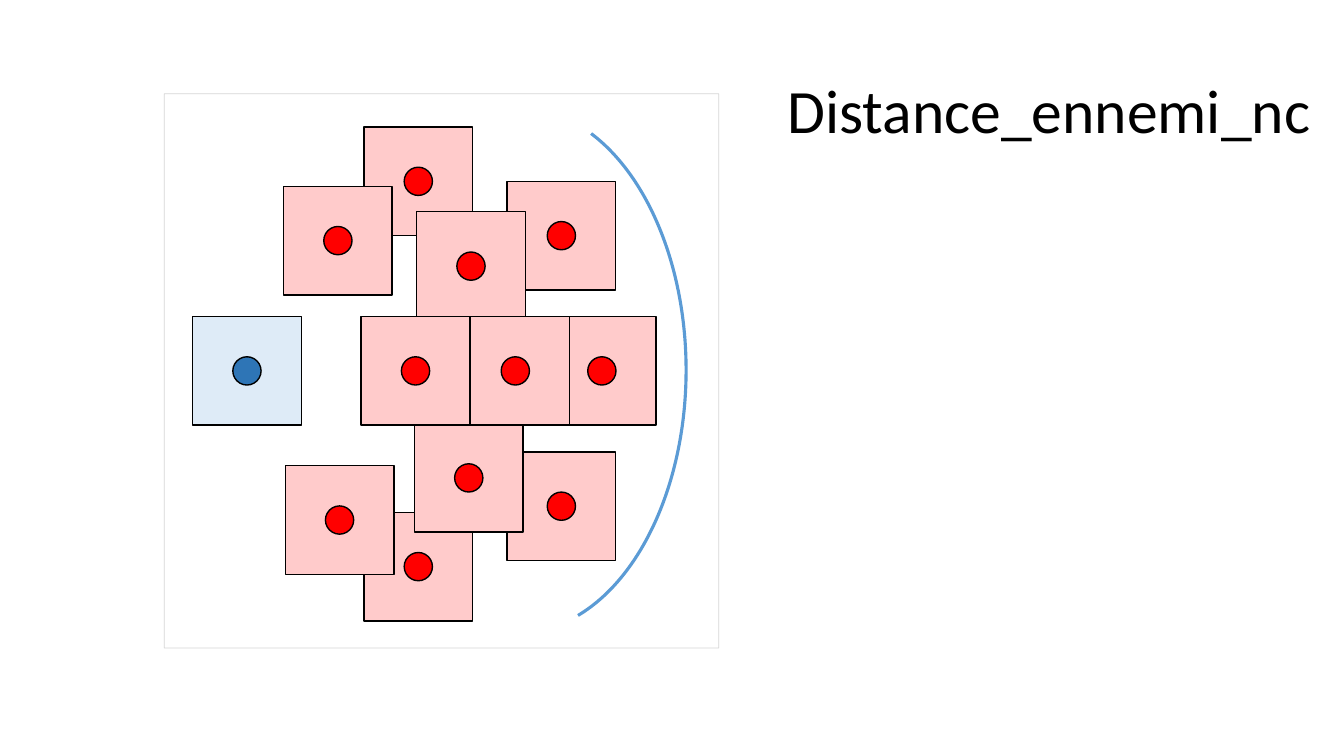
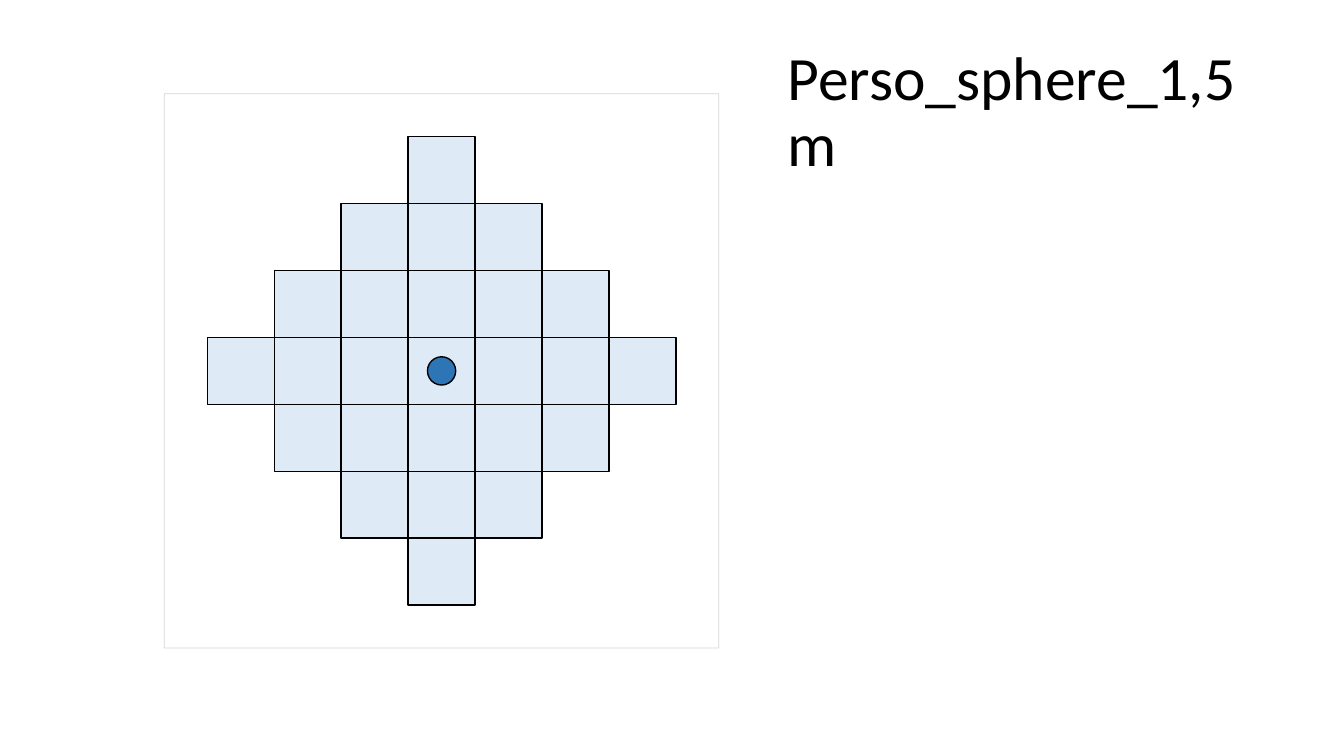
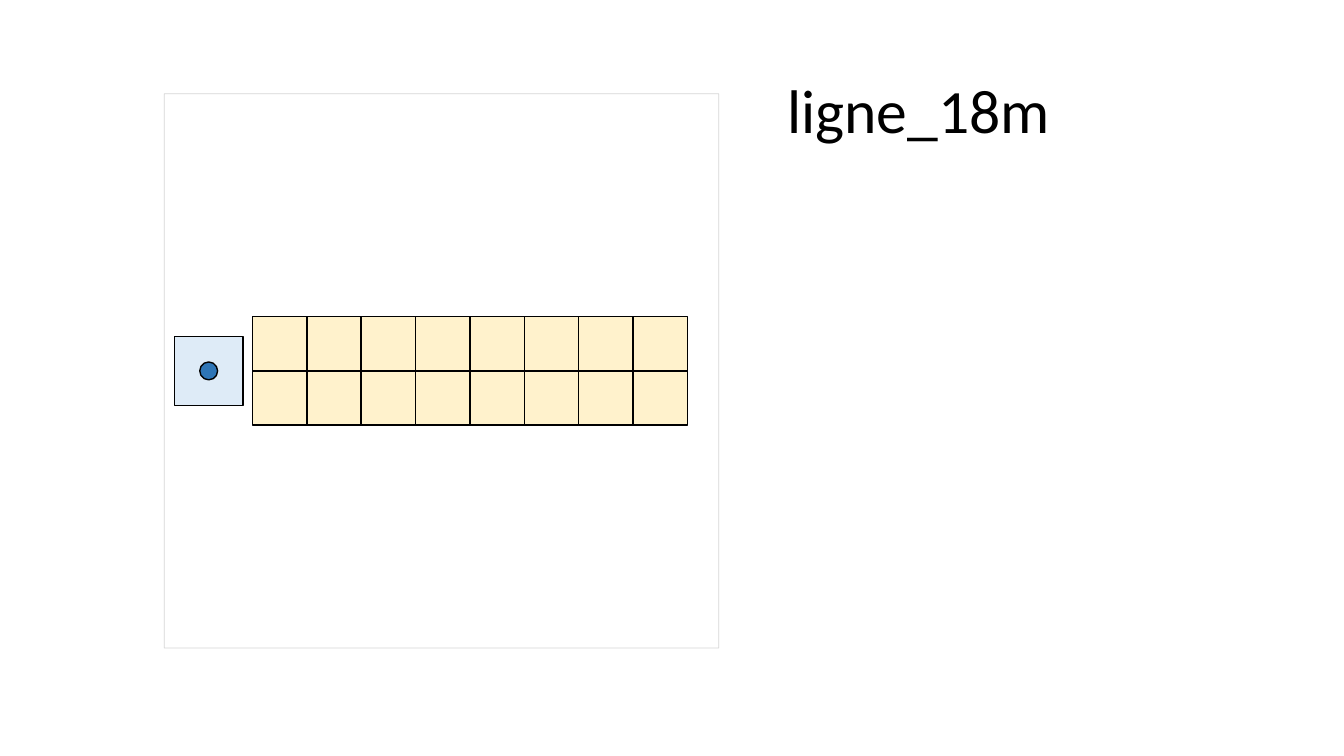
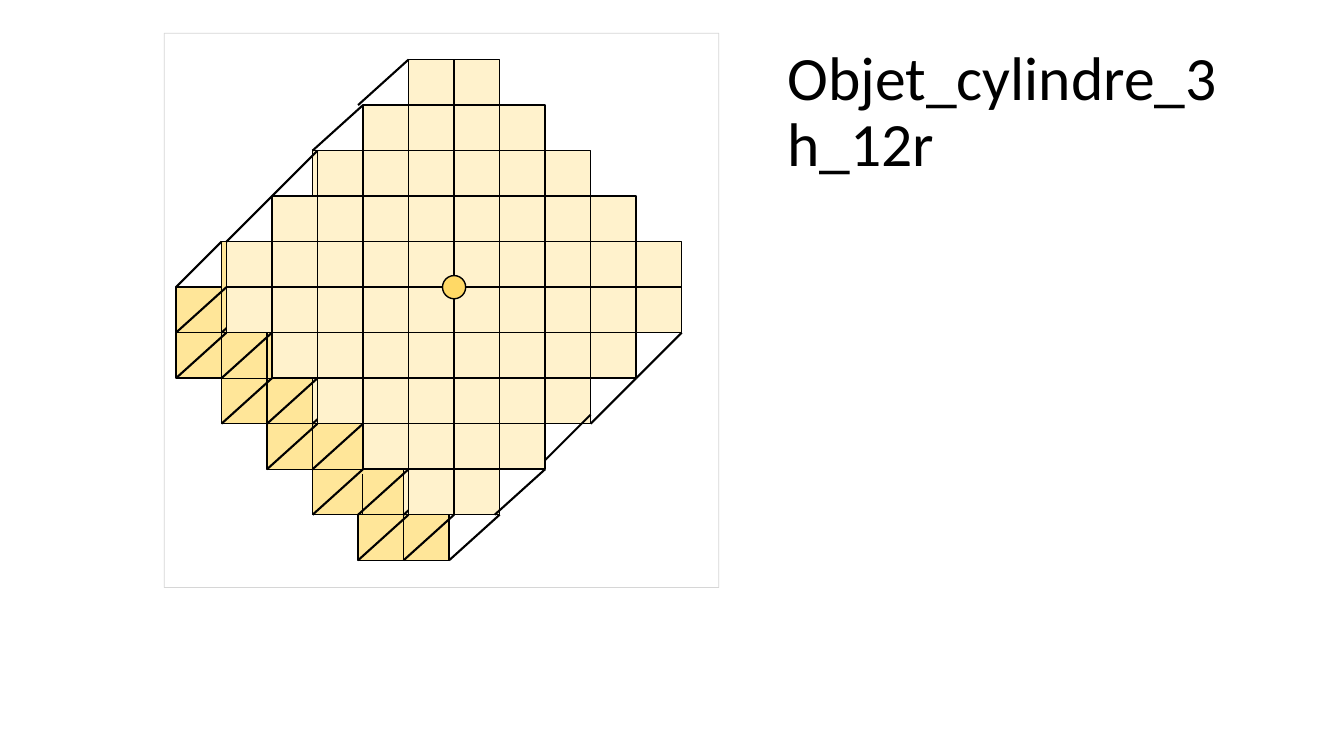
from dataclasses import dataclass

from lxml import etree
from pptx import Presentation
from pptx.dml.color import RGBColor
from pptx.enum.shapes import MSO_CONNECTOR, MSO_SHAPE
from pptx.enum.text import MSO_ANCHOR, MSO_AUTO_SIZE, PP_ALIGN
from pptx.oxml.ns import qn
from pptx.util import Inches, Pt

RECT, OVAL, ARC = MSO_SHAPE.RECTANGLE, MSO_SHAPE.OVAL, MSO_SHAPE.ARC
STRAIGHT = MSO_CONNECTOR.STRAIGHT
LEFT, MIDDLE, NO_FIT = PP_ALIGN.LEFT, MSO_ANCHOR.MIDDLE, MSO_AUTO_SIZE.NONE
TITLE_ONLY = 5


@dataclass(frozen=True)
class Theme:
    font: str = "Calibri"
    title_size: float = 44
    ink: str = "000000"
    frame: str = "A6A6A6"
    frame_opacity: int = 45
    hero: str = "2E75B6"
    hero_zone: str = "DEEBF7"
    enemy: str = "FF0000"
    enemy_zone: str = "FFCBCB"
    reach: str = "5B9BD5"
    area: str = "FFF2CC"
    area_side: str = "FFE699"
    area_centre: str = "FFD966"
    hairline: float = 0.5
    thin: float = 1
    edge: float = 1.5
    thick: float = 2.25


@dataclass(frozen=True)
class Grid:
    """Square grid: its top left corner and its step, in inches."""
    left: float
    top: float
    step: float

    def point(self, col, row):
        return Inches(self.left + col * self.step), Inches(self.top + row * self.step)

    def subgrid(self, col, row, step):
        """Grid that starts at a place on this one, its step counted in steps of this one."""
        return Grid(self.left + col * self.step, self.top + row * self.step, step * self.step)


THEME = Theme()
SLIDE_WIDTH, SLIDE_HEIGHT = 13.33, 7.5
BOARD_SIDE = 5.5
BOARD_LEFT, BOARD_TOP = 1.63, 0.93
TITLE_LEFT, TITLE_TOP, TITLE_HEIGHT = 7.71, 0.4, 1.45
ZONE = 19.6  # percent of the board
DOT_SHARE = 0.26


def colour(code):
    return RGBColor.from_string(code)


def write(frame, text, *, size, color, font=THEME.font, align=LEFT, anchor=MIDDLE, spacing=0.9):
    frame.word_wrap = True
    frame.auto_size = NO_FIT
    frame.vertical_anchor = anchor
    para = frame.paragraphs[0]
    para.alignment = align
    para.line_spacing = spacing
    span = para.add_run()
    span.text = text
    span.font.name = font
    span.font.size = Pt(size)
    span.font.color.rgb = colour(color)


def add_figure(shapes, grid, col, row, cols, rows=None, *, kind=RECT, fill=None,
               line=THEME.ink, weight=THEME.thin):
    """Preset shape over grid cells; it is square unless rows is given."""
    rows = cols if rows is None else rows
    figure = shapes.add_shape(kind, *grid.point(col, row),
                              Inches(cols * grid.step), Inches(rows * grid.step))
    figure.shadow.inherit = False
    if fill:
        figure.fill.solid()
        figure.fill.fore_color.rgb = colour(fill)
    else:
        figure.fill.background()
    figure.line.color.rgb = colour(line)
    figure.line.width = Pt(weight)
    return figure


def add_line(shapes, start, end, weight=THEME.thin):
    line = shapes.add_connector(STRAIGHT, *start, *end)
    line.line.color.rgb = colour(THEME.ink)
    line.line.width = Pt(weight)
    etree.SubElement(line._element.spPr, qn("a:effectLst"))


def add_dot(shapes, grid, col, row, size, fill):
    add_figure(shapes, grid, col - size / 2, row - size / 2, size, kind=OVAL, fill=fill)


def add_token(page, grid, col, row, size, zone, dot):
    """Square zone centred on a place, with a dot at its middle."""
    group = page.shapes.add_group_shape()
    add_figure(group.shapes, grid, col - size / 2, row - size / 2, size, fill=zone)
    add_dot(group.shapes, grid, col, row, size * DOT_SHARE, dot)


def add_board_page(deck, title, title_width, board_top=BOARD_TOP):
    """Add a titled slide with a framed board; return it and the board's percent grid."""
    page = deck.slides.add_slide(deck.slide_layouts[TITLE_ONLY])
    heading = page.shapes.title
    heading.left, heading.top = Inches(TITLE_LEFT), Inches(TITLE_TOP)
    heading.width, heading.height = Inches(title_width), Inches(TITLE_HEIGHT)
    write(heading.text_frame, title, size=THEME.title_size, color=THEME.ink)

    board = Grid(BOARD_LEFT, board_top, BOARD_SIDE / 100)
    frame = add_figure(page.shapes, board, 0, 0, 100, line=THEME.frame, weight=THEME.hairline)
    tint = frame._element.spPr.find(qn("a:ln")).find(".//" + qn("a:srgbClr"))
    etree.SubElement(tint, qn("a:alpha")).set("val", str(THEME.frame_opacity * 1000))
    return page, board


def build_distance(deck):
    page, board = add_board_page(deck, "Distance_ennemi_nc", 5.47)
    add_token(page, board, 14.9, 50, ZONE, THEME.hero_zone, THEME.hero)
    reach = add_figure(page.shapes, board, 33.6, 2.5, 60.5, 94.7, kind=ARC,
                       line=THEME.reach, weight=THEME.thick)
    for index, degrees in enumerate((287.1, 76.34)):
        reach.adjustments[index] = degrees * 0.6
    enemies = ((78.9, 50), (71.6, 25.6), (71.6, 74.4), (45.8, 85.3), (45.8, 15.8),
               (54.9, 69.3), (55.3, 31.1), (63.3, 50), (45.3, 50), (31.6, 76.9), (31.3, 26.5))
    for col, row in enemies:
        add_token(page, board, col, row, ZONE, THEME.enemy_zone, THEME.enemy)


def build_sphere(deck):
    page, board = add_board_page(deck, "Perso_sphere_1,5m", 5.11)
    cell, radius = 12.07, 3
    corner = 50 - cell * (radius + 0.5)
    cells = board.subgrid(corner, corner, cell)
    for row in range(2 * radius + 1):
        reach = radius - abs(row - radius)
        for col in range(radius - reach, radius + reach + 1):
            add_figure(page.shapes, cells, col, row, 1, fill=THEME.hero_zone)
    add_dot(page.shapes, board, 50, 50, ZONE * DOT_SHARE, THEME.hero)


def build_line(deck):
    page, board = add_board_page(deck, "ligne_18m", 5.11)
    add_token(page, board, 8, 50, 12.4, THEME.hero_zone, THEME.hero)
    tiles, count = board.subgrid(15.9, 50 - ZONE / 2, ZONE), 4
    for col in range(count):
        add_figure(page.shapes, tiles, col, 0, 1, fill=THEME.area)
    add_line(page.shapes, tiles.point(0, 0.5), tiles.point(count, 0.5))
    for col in range(count):
        add_line(page.shapes, tiles.point(col + 0.5, 0), tiles.point(col + 0.5, 1))


def add_disc(shapes, grid, first_row, side_tiles=()):
    """Two-cell tiles in a 4 by 4 block without its corners."""
    for band, columns in enumerate(((3, 5), (1, 3, 5, 7), (1, 3, 5, 7), (3, 5))):
        for col in columns:
            fill = THEME.area_side if (col, band) in side_tiles else THEME.area
            add_figure(shapes, grid, col, first_row + 2 * band, 2, fill=fill)


def add_cells(shapes, grid, places, fill):
    for col, row in places:
        add_figure(shapes, grid, col, row, 1, fill=fill)


def add_slants(shapes, start_grid, end_grid, places):
    """Edges from each place to the row above, one column on if the grid is the same."""
    shift = 1 if start_grid == end_grid else 0
    for col, row in places:
        add_line(shapes, start_grid.point(col, row), end_grid.point(col + shift, row - 1),
                 THEME.edge)


def build_cylinder(deck):
    page, board = add_board_page(deck, "Objet_cylindre_3h_12r", 4.7, board_top=0.33)
    shapes = page.shapes
    rear = board.subgrid(2.1, 4.75, 8.21)
    front = board.subgrid(11.2, 4.75, 8.21)

    add_cells(shapes, rear, ((4, 10), (5, 10)), THEME.area_side)
    add_disc(shapes, rear, 2, side_tiles=((1, 1), (1, 2), (3, 3)))
    add_disc(shapes, front, 1)
    add_dot(shapes, front, 5, 5, 0.51, THEME.area_centre)
    add_slants(shapes, rear, front, ((3, 8), (1, 6), (5, 10)))

    add_cells(shapes, rear, ((2, 8), (0, 6), (0, 5)), THEME.area_side)
    add_cells(shapes, front, ((2, 2), (7, 2), (7, 7), (0, 4), (0, 5), (2, 7), (4, 9), (5, 9),
                              (4, 0), (5, 0), (9, 4), (9, 5)), THEME.area)

    for grid, rules in (
        (front, ((3, 2, 7, 2), (1, 4, 9, 4), (1, 6, 9, 6), (3, 8, 7, 8),
                 (2, 3, 2, 7), (4, 1, 4, 9), (6, 1, 6, 9), (8, 3, 8, 7))),
        (rear, ((3, 9, 7, 9), (2, 6, 2, 8), (1, 7, 2.1, 7), (4.1, 9.1, 4.1, 10))),
    ):
        for col, row, end_col, end_row in rules:
            add_line(shapes, grid.point(col, row), grid.point(end_col, end_row))

    add_slants(shapes, rear, front,
               ((0, 6), (0, 7), (1, 7), (1, 8), (2, 8), (2, 9), (3, 9), (3, 10), (4, 10),
                (4, 11), (5, 11), (6, 11), (7, 10), (3, 2), (4, 1)))
    add_slants(shapes, front, front, ((0, 4), (1, 3), (7, 8.8), (8, 8), (9, 7)))
    add_slants(shapes, rear, rear, ((0, 5),))


def main():
    deck = Presentation()
    deck.slide_width, deck.slide_height = Inches(SLIDE_WIDTH), Inches(SLIDE_HEIGHT)
    for build in (build_distance, build_sphere, build_line, build_cylinder):
        build(deck)
    deck.save("out.pptx")


if __name__ == "__main__":
    main()
